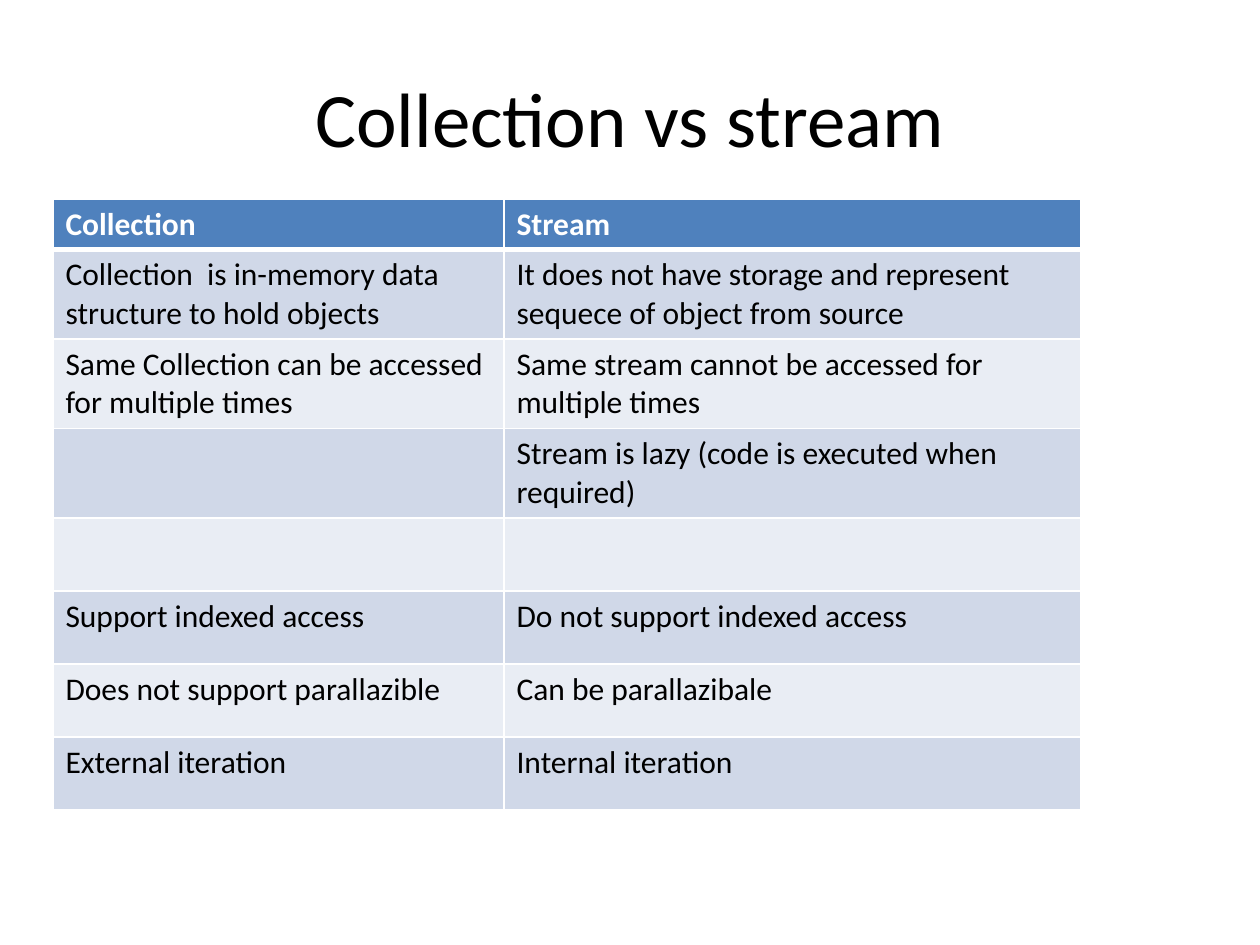
from lxml import etree
from pptx import Presentation
from pptx.dml.color import RGBColor
from pptx.enum.text import MSO_ANCHOR, PP_ALIGN
from pptx.oxml.ns import qn
from pptx.util import Inches, Pt

MIDDLE = MSO_ANCHOR.MIDDLE
CENTER = PP_ALIGN.CENTER
LEFT = PP_ALIGN.LEFT
COLORS = {"ink": "000000", "paper": "FFFFFF", "head": "4F81BD",
          "odd": "D0D8E8", "even": "E9EDF4"}
TITLE = {"size": Pt(44), "name": "Calibri", "bold": False}
HEAD = {"size": Pt(18), "name": "Calibri", "bold": True}
BODY = {**HEAD, "bold": False}
COLS = [3.58, 4.58]
ROWS = [0.39] + [0.71] * 3 + [0.58] * 4
DATA = [
    ("Collection", "Stream"),
    ("Collection  is in-memory data structure to hold objects",
     "It does not have storage and represent sequece of object from source"),
    ("Same Collection can be accessed for multiple times",
     "Same stream cannot be accessed for multiple times"),
    ("", "Stream is lazy (code is executed when required)"),
    ("", ""),
    ("Support indexed access", "Do not support indexed access"),
    ("Does not support parallazible", "Can be parallazibale"),
    ("External iteration", "Internal iteration"),
]


def write(frame, text, style, color, align):
    """Put one styled paragraph in a text frame."""
    para = frame.paragraphs[0]
    para.text = text
    para.alignment = align
    for key, value in style.items():
        setattr(para.font, key, value)
    para.font.color.rgb = RGBColor.from_string(COLORS[color])


def edge(cell, widths):
    """Draw white cell borders of the given point widths."""
    props = cell._tc.get_or_add_tcPr()
    for side, width in widths.items():
        line = etree.SubElement(props, qn(f"a:ln{side}"), w=str(Pt(width)))
        fill = etree.SubElement(line, qn("a:solidFill"))
        etree.SubElement(fill, qn("a:srgbClr"), val=COLORS["paper"])


def title(slide, box, text):
    """Place the centred heading in its box."""
    frame = slide.shapes.add_textbox(*map(Inches, box)).text_frame
    frame.word_wrap = True
    frame.vertical_anchor = MIDDLE
    write(frame, text, TITLE, "ink", CENTER)


def grid(slide, left, top, data):
    """Place the banded comparison table from its top left corner."""
    box = map(Inches, (left, top, sum(COLS), sum(ROWS)))
    table = slide.shapes.add_table(len(ROWS), len(COLS), *box).table
    for col, width in zip(table.columns, COLS):
        col.width = Inches(width)
    for i, (row, height, texts) in enumerate(zip(table.rows, ROWS, data)):
        row.height = Inches(height)
        band = "head" if i == 0 else "odd" if i % 2 else "even"
        style, ink = (BODY, "ink") if i else (HEAD, "paper")
        widths = {"L": 1, "R": 1, "T": 3 if i == 1 else 1, "B": 1 if i else 3}
        for cell, text in zip(row.cells, texts):
            edge(cell, widths)
            cell.fill.solid()
            cell.fill.fore_color.rgb = RGBColor.from_string(COLORS[band])
            write(cell.text_frame, text, style, ink, LEFT)


def main():
    """Build and save the slide."""
    deck = Presentation()
    deck.slide_width, deck.slide_height = Inches(10), Inches(7.5)
    slide = deck.slides.add_slide(deck.slide_layouts[6])
    title(slide, (0.5, 0.3, 9, 1.25), "Collection vs stream")
    grid(slide, 0.42, 1.58, DATA)
    deck.save("out.pptx")


main()
